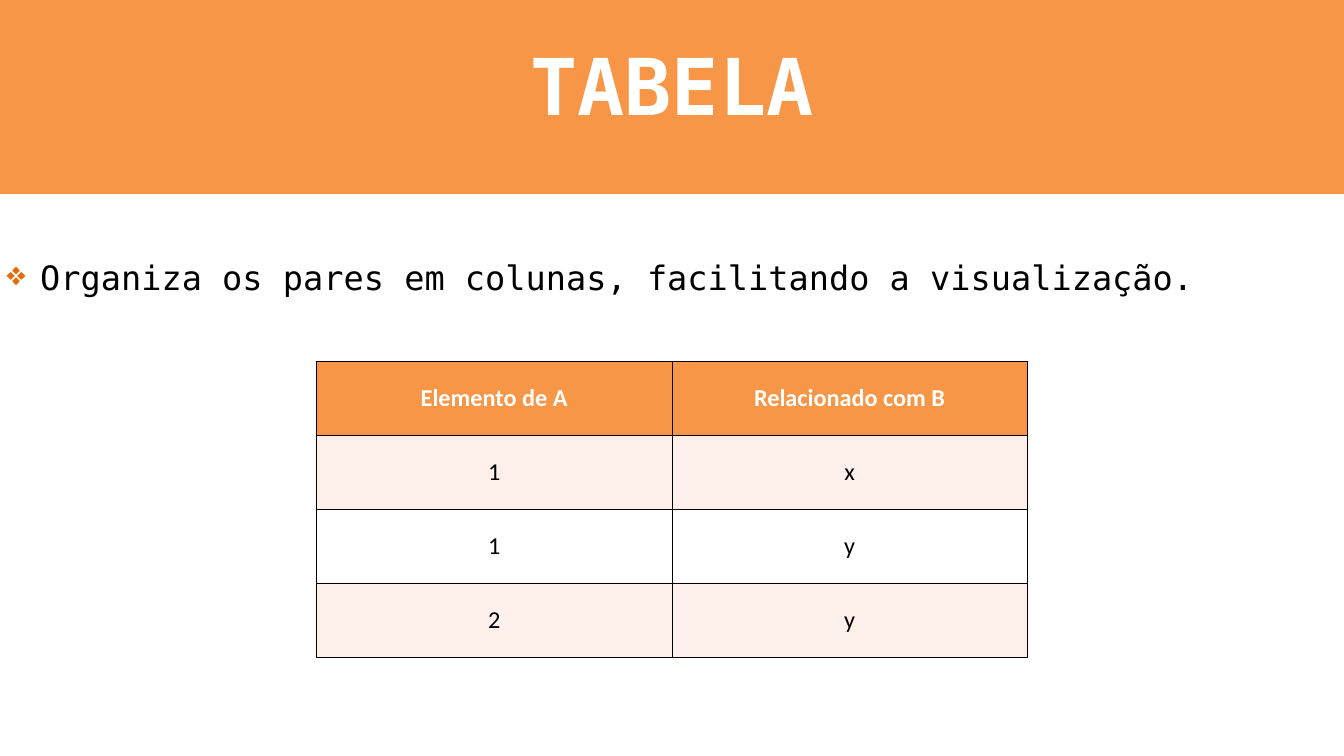
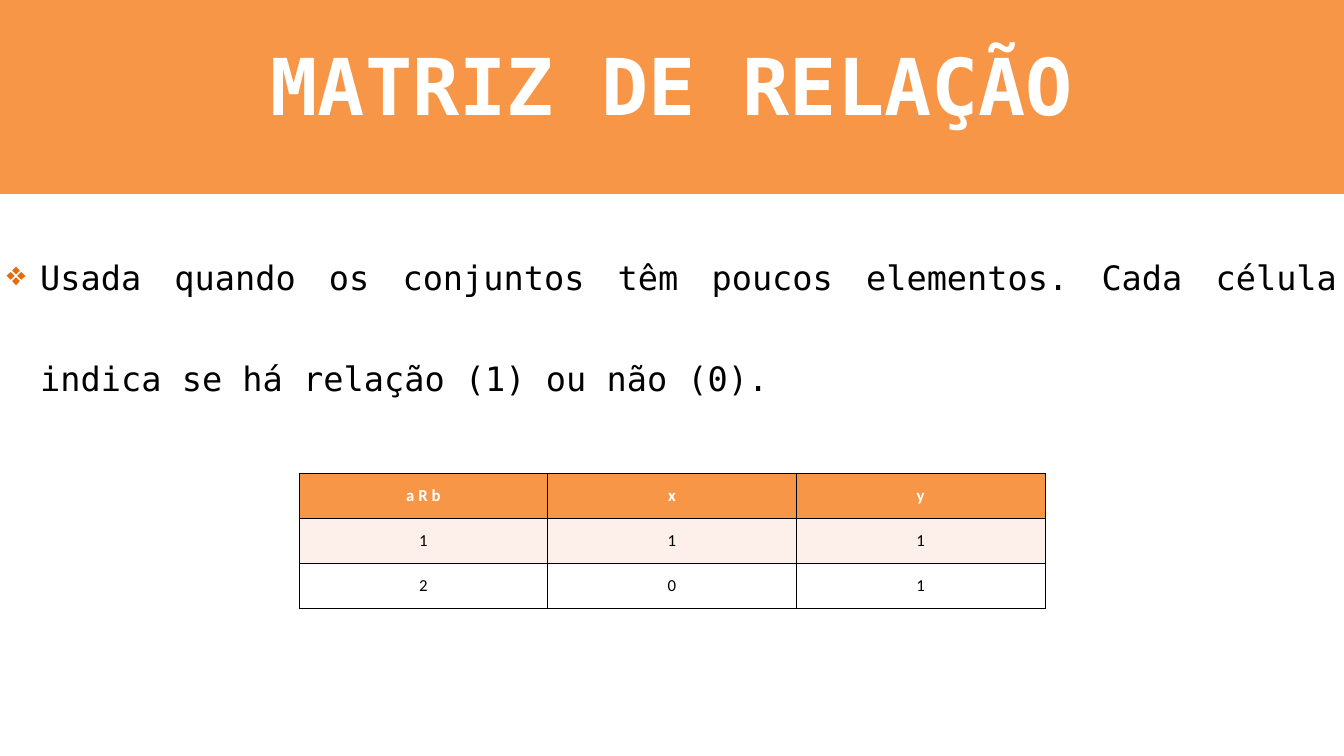
from lxml import etree
from pptx import Presentation
from pptx import util as u
from pptx.dml import color
from pptx.enum import shapes, text
from pptx.oxml import ns

WIDE, HIGH = 20, 11.25
BAND = 2.88
MONO, SANS = "DejaVu Sans Mono", "Calibri"
ORANGE, DARK, PALE, WHITE, BLACK = "F79646", "E46C0A", "FDEFE9", "FFFFFF", "000000"


def paint(part, tint):
    if hasattr(part, "solid"):
        part.solid()
        part = part.fore_color
    elif hasattr(part, "color"):
        part = part.color
    part.rgb = color.RGBColor.from_string(tint)


def style(para, face, size, tint, bold, align):
    para.alignment = align
    font = para.font
    font.name, font.size, font.bold = face, u.Pt(size), bold
    paint(font, tint)


pages = [
    ("TABELA",
     "Organiza os pares em colunas, facilitando a visualização.",
     1.36, 5.38, 5.29, 1.1, 26,
     [("Elemento de A", "Relacionado com B"), ("1", "x"), ("1", "y"), ("2", "y")]),
    ("MATRIZ DE RELAÇÃO",
     "Usada quando os conjuntos têm poucos elementos. "
     "Cada célula indica se há relação (1) ou não (0).",
     2.88, 7.04, 3.7, 0.67, 18,
     [("a R b", "x", "y"), ("1", "1", "1"), ("2", "0", "1")]),
]

deck = Presentation()
deck.slide_width, deck.slide_height = u.Inches(WIDE), u.Inches(HIGH)

for head, note, tall, top, col, row, size, rows in pages:
    slide = deck.slides.add_slide(deck.slide_layouts[5])
    paint(slide.background.fill, WHITE)

    band = slide.shapes.add_shape(
        shapes.MSO_SHAPE.RECTANGLE, 0, 0, u.Inches(WIDE), u.Inches(BAND))
    band.shadow.inherit = False
    paint(band.fill, ORANGE)
    paint(band.line, ORANGE)
    band.line.width = u.Pt(2)

    title = slide.shapes.title
    band._element.addnext(title._element)
    title.left, title.top = 0, u.Inches(0.68)
    title.width, title.height = u.Inches(WIDE), u.Inches(1.28)
    frame = title.text_frame
    frame.text = head
    frame.margin_left = frame.margin_right = frame.margin_top = frame.margin_bottom = 0
    frame.vertical_anchor = text.MSO_ANCHOR.TOP
    frame.auto_size = text.MSO_AUTO_SIZE.SHAPE_TO_FIT_TEXT
    para = frame.paragraphs[0]
    para.line_spacing = u.Pt(91.2)
    style(para, MONO, 84, WHITE, True, text.PP_ALIGN.CENTER)

    box = slide.shapes.add_textbox(0, u.Inches(BAND), u.Inches(WIDE), u.Inches(tall))
    frame = box.text_frame
    frame.word_wrap = True
    frame.auto_size = text.MSO_AUTO_SIZE.SHAPE_TO_FIT_TEXT
    frame.text = note
    para = frame.paragraphs[0]
    para.line_spacing = 2.5
    props = para._p.get_or_add_pPr()
    props.set("marL", str(u.Inches(0.5)))
    props.set("indent", str(-u.Inches(0.5)))
    tint = etree.SubElement(props, ns.qn("a:buClr"))
    etree.SubElement(tint, ns.qn("a:srgbClr"), val=DARK)
    etree.SubElement(props, ns.qn("a:buChar"), char="❖")
    style(para, MONO, 36, BLACK, False, text.PP_ALIGN.JUSTIFY)

    wide = col * len(rows[0])
    grid = slide.shapes.add_table(
        len(rows), len(rows[0]), u.Inches((WIDE - wide) / 2), u.Inches(top),
        u.Inches(wide), u.Inches(row * len(rows))).table
    for r, words in enumerate(rows):
        for c, word in enumerate(words):
            cell = grid.cell(r, c)
            cell.text = word
            cell.vertical_anchor = text.MSO_ANCHOR.MIDDLE
            props = cell._tc.get_or_add_tcPr()
            for side in ("lnL", "lnR", "lnT", "lnB"):
                edge = etree.SubElement(props, ns.qn("a:" + side), w=str(u.Pt(1)))
                fill = etree.SubElement(edge, ns.qn("a:solidFill"))
                etree.SubElement(fill, ns.qn("a:srgbClr"), val=BLACK)
            paint(cell.fill, ORANGE if r == 0 else PALE if r % 2 else WHITE)
            style(cell.text_frame.paragraphs[0], SANS, size,
                  BLACK if r else WHITE, r == 0, text.PP_ALIGN.CENTER)

deck.save("out.pptx")
